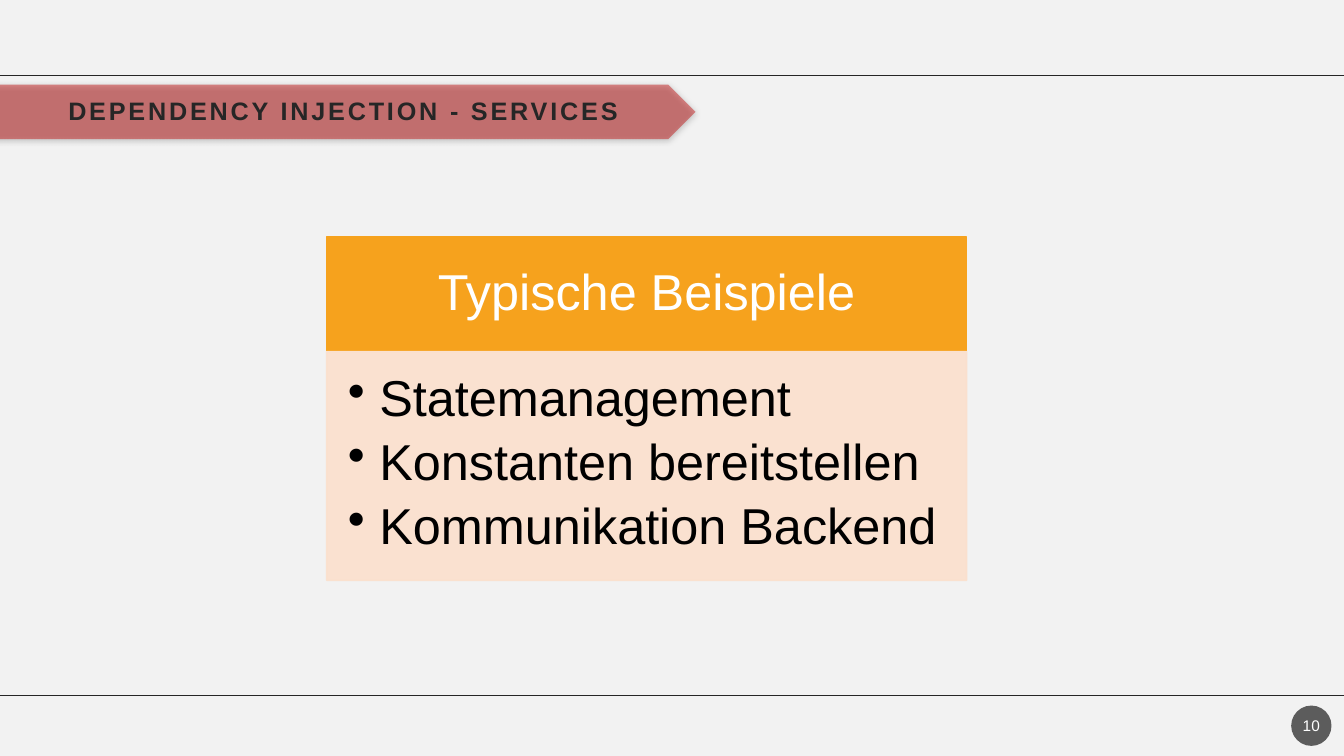
from dataclasses import dataclass
from typing import Optional

from lxml import etree
from pptx import Presentation
from pptx import util as u
from pptx.dml import color
from pptx.enum import shapes, text
from pptx.oxml import ns

PAGE_WIDTH, PAGE_HEIGHT = 960, 540
RULE_HEIGHTS = {54: 1, 496.8: 0.75}
RULE_COLOR = "262626"


@dataclass
class Label:
    lines: list[str]
    size: float
    color: str
    insets: tuple[float, float, float, float]
    bold: bool = False
    tracking: float = 0
    bullet_indent: float = 0
    line_spacing: float = 0.9
    space_after: float = 0
    centered: bool = True


@dataclass
class Box:
    left: float
    top: float
    width: float
    height: float
    kind: Optional[shapes.MSO_SHAPE] = None
    fill: str = ""
    opacity: int = 100
    outlined: bool = False
    shadowed: bool = False
    label: Optional[Label] = None


BOXES = [
    Box(-6.5, 60.5, 503.3, 38.9, shapes.MSO_SHAPE.PENTAGON, "C00000", 43, shadowed=True),
    Box(10.8, 60.5, 468.7, 38.9, label=Label(
        ["DEPENDENCY INJECTION - SERVICES"], 18, "262626", (14.4,) * 4,
        bold=True, tracking=2)),
    Box(233.3, 169.2, 457.2, 81.4, shapes.MSO_SHAPE.RECTANGLE, "F6A21D", outlined=True,
        label=Label(["Typische Beispiele"], 36, "FFFFFF", (20, 11.5, 20, 11.5))),
    Box(233.3, 251.2, 457.2, 163.4, shapes.MSO_SHAPE.RECTANGLE, "FBE0CD", 90, outlined=True,
        label=Label(
            ["Statemanagement", "Konstanten bereitstellen", "Kommunikation Backend"],
            36, "000000", (15.1, 15.1, 14, 23), bullet_indent=22.5,
            space_after=7, centered=False)),
    Box(922.3, 504, 28.8, 28.8, shapes.MSO_SHAPE.OVAL, "1D1D1D", 70,
        label=Label(["10"], 11, "FFFFFF", (1.4, 3.6, 1.4, 3.6), line_spacing=1)),
]


def rgb(value: str) -> color.RGBColor:
    return color.RGBColor.from_string(value)


def add_element(parent, tag: str, **attributes):
    values = {name: str(value) for name, value in attributes.items()}
    return etree.SubElement(parent, ns.qn(tag), values)


def set_opacity(fill_parent, percent: int) -> None:
    if percent < 100:
        srgb = fill_parent.find(ns.qn("a:solidFill")).find(ns.qn("a:srgbClr"))
        add_element(srgb, "a:alpha", val=percent * 1000)


def add_shadow(shape) -> None:
    effects = shape.element.spPr.find(ns.qn("a:effectLst"))
    shadow = add_element(effects, "a:outerShdw", blurRad=u.Pt(4.4), dist=u.Pt(1.2),
                         dir=90 * 60000, algn="ctr", rotWithShape=0)
    tint = add_element(shadow, "a:srgbClr", val="000000")
    add_element(tint, "a:alpha", val=45000)


def write_label(shape, label: Label) -> None:
    frame = shape.text_frame
    frame.word_wrap = True
    frame.vertical_anchor = text.MSO_ANCHOR.MIDDLE if label.centered else text.MSO_ANCHOR.TOP
    (frame.margin_left, frame.margin_top,
     frame.margin_right, frame.margin_bottom) = map(u.Pt, label.insets)
    frame.text = "\n".join(label.lines)
    for para in frame.paragraphs:
        para.alignment = text.PP_ALIGN.CENTER if label.centered else text.PP_ALIGN.LEFT
        para.line_spacing = label.line_spacing
        para.space_after = u.Pt(label.space_after)
        para.font.name = "Arial"
        para.font.size = u.Pt(label.size)
        para.font.bold = label.bold
        para.font.color.rgb = rgb(label.color)
        if label.tracking:
            for span in para.runs:
                span.font._element.set("spc", str(int(label.tracking * 100)))
        if label.bullet_indent:
            properties = para._p.get_or_add_pPr()
            properties.set("marL", str(u.Pt(label.bullet_indent)))
            properties.set("indent", str(-u.Pt(label.bullet_indent)))
            bullet = etree.Element(ns.qn("a:buChar"), {"char": "•"})
            properties.find(ns.qn("a:defRPr")).addprevious(bullet)


def draw_box(page, box: Box) -> None:
    area = [u.Pt(length) for length in (box.left, box.top, box.width, box.height)]
    if box.kind is None:
        shape = page.shapes.add_textbox(*area)
    else:
        shape = page.shapes.add_shape(box.kind, *area)
        shape.shadow.inherit = False
        shape.fill.solid()
        shape.fill.fore_color.rgb = rgb(box.fill)
        set_opacity(shape.element.spPr, box.opacity)
        if box.outlined:
            shape.line.width = u.Pt(1)
            shape.line.color.rgb = rgb(box.fill)
            set_opacity(shape.element.spPr.find(ns.qn("a:ln")), box.opacity)
        else:
            shape.line.fill.background()
        if box.shadowed:
            add_shadow(shape)
    if box.label:
        write_label(shape, box.label)


def draw_rule(page, height: float, width: float) -> None:
    rule = page.shapes.add_connector(
        shapes.MSO_CONNECTOR.STRAIGHT, 0, u.Pt(height), u.Pt(PAGE_WIDTH), u.Pt(height))
    rule.line.width = u.Pt(width)
    rule.line.color.rgb = rgb(RULE_COLOR)
    add_element(rule._element.spPr, "a:effectLst")


def main() -> None:
    deck = Presentation()
    deck.slide_width, deck.slide_height = u.Pt(PAGE_WIDTH), u.Pt(PAGE_HEIGHT)
    page = deck.slides.add_slide(deck.slide_layouts[6])
    page.background.fill.solid()
    page.background.fill.fore_color.rgb = rgb("F2F2F2")
    for height, width in RULE_HEIGHTS.items():
        draw_rule(page, height, width)
    for box in BOXES:
        draw_box(page, box)
    deck.save("out.pptx")


if __name__ == "__main__":
    main()
